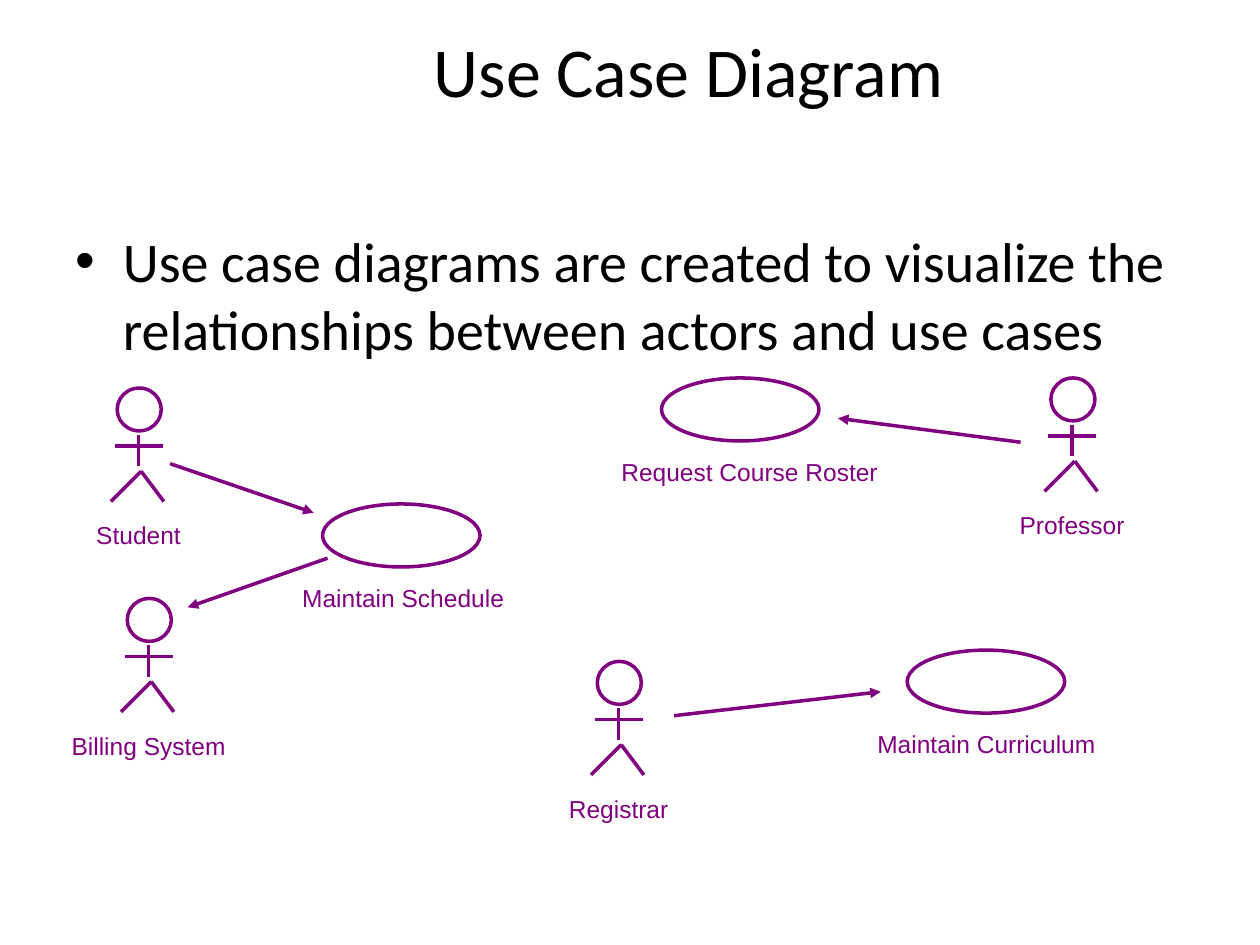
import pptx
import pptx.dml.color
import pptx.enum.shapes
import pptx.enum.text
import pptx.oxml
import pptx.oxml.ns
import pptx.util

Inches = pptx.util.Inches
PURPLE = pptx.dml.color.RGBColor(0x80, 0x00, 0x80)
BLACK = pptx.dml.color.RGBColor(0x00, 0x00, 0x00)
CENTER = pptx.enum.text.PP_ALIGN.CENTER
MIDDLE = pptx.enum.text.MSO_ANCHOR.MIDDLE


def write_text(shape, text, size, font="Calibri", color=BLACK, align=None, anchor=None):
    """Put one formatted paragraph in a shape."""
    frame = shape.text_frame
    frame.text = text
    frame.vertical_anchor = anchor
    paragraph = frame.paragraphs[0]
    paragraph.alignment = align
    paragraph.space_before = pptx.util.Pt(0)
    paragraph.font.size = pptx.util.Pt(size)
    paragraph.font.name = font
    paragraph.font.color.rgb = color


class UseCaseDiagram:
    """Holds the slide and the line and label style of the diagram."""

    line_width = pptx.util.Pt(2)
    label_style = {"size": 14, "font": "Arial", "color": PURPLE,
                   "align": CENTER, "anchor": MIDDLE}

    def __init__(self, slide):
        self.slide = slide

    def placeholder(self, shape, text, left, top, width, height, **style):
        shape.left, shape.top = Inches(left), Inches(top)
        shape.width, shape.height = Inches(width), Inches(height)
        write_text(shape, text, **style)

    def ellipse(self, shapes, left, top, width, height):
        shape = shapes.add_shape(pptx.enum.shapes.MSO_SHAPE.OVAL, Inches(left),
                                 Inches(top), Inches(width), Inches(height))
        shape.shadow.inherit = False
        shape.fill.background()
        shape.line.color.rgb = PURPLE
        shape.line.width = self.line_width

    def line(self, shapes, start, end, arrow=False):
        connector = shapes.add_connector(
            pptx.enum.shapes.MSO_CONNECTOR.STRAIGHT,
            *[Inches(value) for value in (*start, *end)])
        connector.line.color.rgb = PURPLE
        connector.line.width = self.line_width
        properties = connector._element.spPr
        if arrow:
            tail = pptx.oxml.parse_xml(
                f'<a:tailEnd {pptx.oxml.ns.nsdecls("a")} type="triangle"/>')
            connector.line._get_or_add_ln().append(tail)
        properties.append(pptx.oxml.parse_xml(
            f'<a:effectLst {pptx.oxml.ns.nsdecls("a")}/>'))

    def label(self, shapes, text, center, top, width):
        box = shapes.add_textbox(Inches(center - width / 2), Inches(top),
                                 Inches(width), Inches(0.33))
        frame = box.text_frame
        frame.word_wrap = False
        frame.auto_size = pptx.enum.text.MSO_AUTO_SIZE.SHAPE_TO_FIT_TEXT
        # Narrow side margins keep each label on one line
        frame.margin_left = frame.margin_right = Inches(0.05)
        write_text(box, text, **self.label_style)

    def actor(self, name, center, top, label_width):
        shapes = self.slide.shapes.add_group_shape().shapes
        self.ellipse(shapes, center - 0.17, top, 0.35, 0.34)
        hip = (center + 0.02, top + 0.66)
        self.line(shapes, hip, (center - 0.22, top + 0.9))
        self.line(shapes, hip, (center + 0.2, top + 0.9))
        self.line(shapes, (center, top + 0.37), (center, top + 0.62))
        self.line(shapes, (center - 0.19, top + 0.46), (center + 0.19, top + 0.46))
        self.label(shapes, name, center, top + 1, label_width)

    def use_case(self, name, left, top, label_center, label_width):
        shapes = self.slide.shapes.add_group_shape().shapes
        self.ellipse(shapes, left, top, 1.25, 0.5)
        self.label(shapes, name, label_center, top + 0.58, label_width)


def main():
    presentation = pptx.Presentation()
    presentation.slide_width, presentation.slide_height = Inches(10), Inches(7.5)
    slide = presentation.slides.add_slide(presentation.slide_layouts[1])
    diagram = UseCaseDiagram(slide)

    # Title and bullet
    diagram.placeholder(slide.shapes.title, "Use Case Diagram", 1.9, 0.23, 7.13, 0.65,
                        size=40, align=CENTER, anchor=MIDDLE)
    diagram.placeholder(
        slide.placeholders[1],
        "Use case diagrams are created to visualize the "
        "relationships between actors and use cases",
        0.5, 1.75, 9, 4.95, size=32)

    # Actors: name, center, top, label width
    for actor in [("Student", 1.1, 3.08, 0.87),
                  ("Registrar", 4.91, 5.25, 0.99),
                  ("Professor", 8.51, 3, 1.03),
                  ("Billing System", 1.18, 4.75, 1.42)]:
        diagram.actor(*actor)

    # Use cases: name, left, top, label center, label width
    for use_case in [("Maintain Schedule", 2.56, 4, 3.2, 1.8),
                     ("Maintain Curriculum", 7.2, 5.16, 7.83, 1.93),
                     ("Request Course Roster", 5.25, 3, 5.95, 2.24)]:
        diagram.use_case(*use_case)

    # Arrows between actors and use cases
    arrows = slide.shapes.add_group_shape().shapes
    for start, end in [((8.1, 3.51), (6.65, 3.32)),
                       ((1.35, 3.68), (2.49, 4.07)),
                       ((2.6, 4.43), (1.49, 4.82)),
                       ((5.35, 5.68), (6.99, 5.49))]:
        diagram.line(arrows, start, end, arrow=True)

    presentation.save("out.pptx")


if __name__ == "__main__":
    main()
